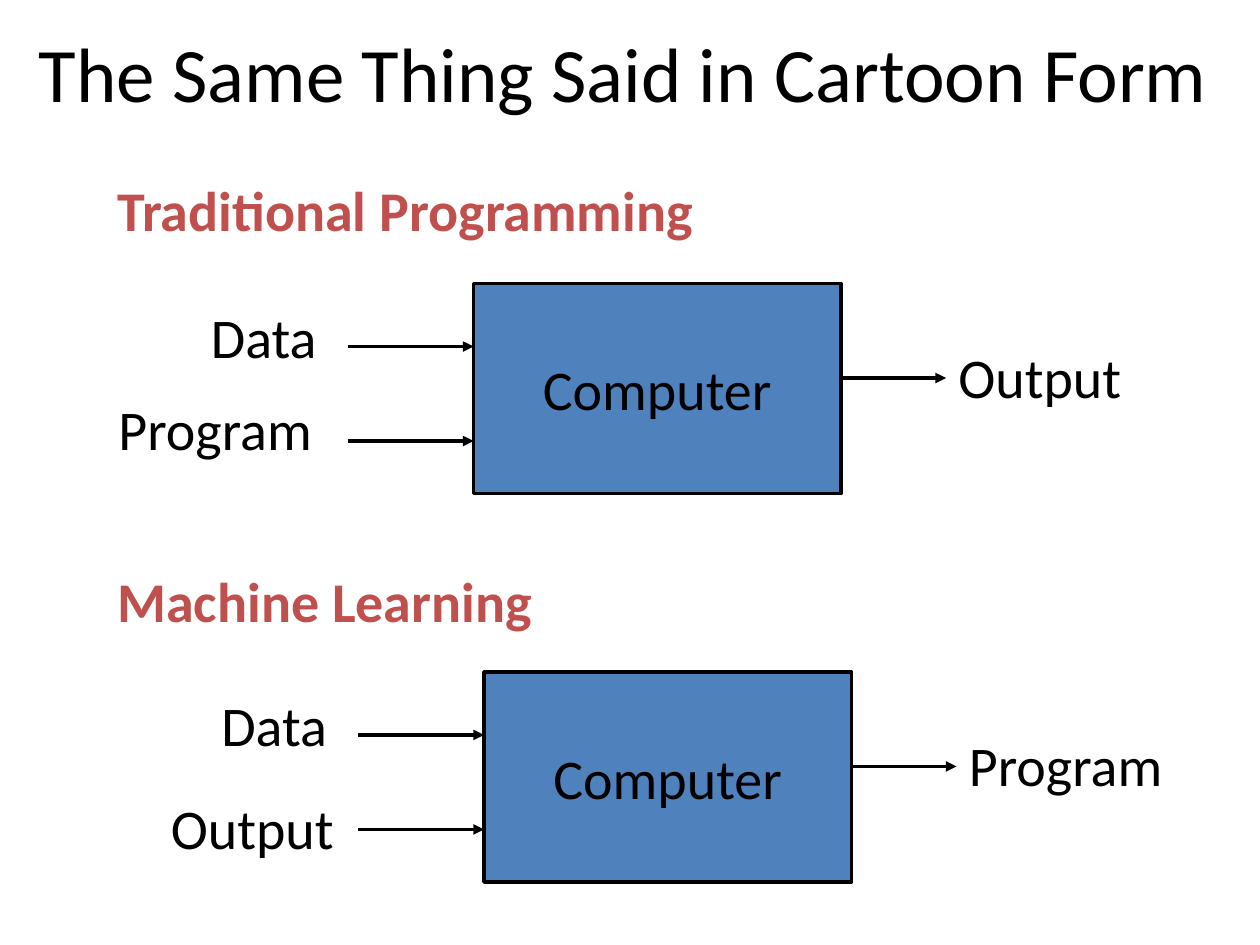
from lxml import etree
from pptx import Presentation, util as u
from pptx.dml.color import RGBColor
from pptx.enum import shapes as sh, text as tx
from pptx.oxml.ns import qn

BLACK = RGBColor(0x00, 0x00, 0x00)
BLUE = RGBColor(0x4F, 0x81, 0xBD)
RED = RGBColor(0xC0, 0x50, 0x4D)
COLS, ROWS = 120, 90
WIDTH, HEIGHT = u.Inches(10), u.Inches(7.5)


def grid(*cells):
    """Turn alternating columns and rows into slide lengths."""
    units = (WIDTH / COLS, HEIGHT / ROWS)
    return [u.Emu(round(cell * units[i % 2])) for i, cell in enumerate(cells)]


def write(shape, words, size=32, color=BLACK, bold=False,
          align=tx.PP_ALIGN.LEFT, anchor=tx.MSO_ANCHOR.TOP):
    """Put formatted words into a shape."""
    frame = shape.text_frame
    frame.word_wrap = True
    frame.auto_size = tx.MSO_AUTO_SIZE.NONE
    frame.vertical_anchor = anchor
    para = frame.paragraphs[0]
    para.alignment = align
    run = para.add_run()
    run.text = words
    font = run.font
    font.name, font.size, font.bold = "Calibri", u.Pt(size), bold
    font.color.rgb = color


def label(slide, words, col, row, wide=23, **form):
    """Add a line of text at a grid cell."""
    write(slide.shapes.add_textbox(*grid(col, row, wide, 7.6)), words, **form)


def arrow(slide, start, end, row):
    """Draw a level arrow between two columns."""
    line = slide.shapes.add_connector(
        sh.MSO_CONNECTOR.STRAIGHT, *grid(start, row, end, row))
    line.line.color.rgb = BLACK
    line.line.width = u.Pt(2)
    etree.SubElement(line.line._get_or_add_ln(), qn("a:tailEnd"), type="triangle")
    etree.SubElement(line._element.spPr, qn("a:effectLst"))


def title(slide, words, box):
    """Place and fill the slide title."""
    head = slide.shapes.title
    head.left, head.top, head.width, head.height = grid(*box)
    write(head, words, size=44, anchor=tx.MSO_ANCHOR.MIDDLE)


def flow(slide, box, inputs, result):
    """Draw a computer in the box with its inputs and its result."""
    col, row, wide, high = box
    right = col + wide
    block = slide.shapes.add_shape(sh.MSO_SHAPE.RECTANGLE, *grid(*box))
    block.shadow.inherit = False
    block.fill.solid()
    block.fill.fore_color.rgb = BLUE
    block.line.color.rgb = BLACK
    block.line.width = u.Pt(2)
    write(block, "Computer", align=tx.PP_ALIGN.CENTER,
          anchor=tx.MSO_ANCHOR.MIDDLE)
    for (words, back, down), share in zip(inputs, (0.3, 0.75)):
        label(slide, words, col - back, row + down)
        arrow(slide, col - 12, col, row + high * share)
    arrow(slide, right, right + 10, row + high * 0.45)
    label(slide, result, right + 10, row + high * 0.25)


def main():
    """Build and save the slide."""
    deck = Presentation()
    deck.slide_width, deck.slide_height = WIDTH, HEIGHT
    slide = deck.slides.add_slide(deck.slide_layouts[5])
    title(slide, "The Same Thing Said in Cartoon Form", (2.5, 1.8, 115, 10))
    data = ("Data", 26.2, 1.2)
    panels = (
        ("Traditional Programming", 16.1, (45.1, 27, 35, 20),
         (data, ("Program", 35, 10)), "Output"),
        ("Machine Learning", 53.4, (46.1, 64, 35, 20),
         (data, ("Output", 31, 11)), "Program"),
    )
    for head, row, box, inputs, result in panels:
        label(slide, head, 10, row, wide=70, color=RED, bold=True)
        flow(slide, box, inputs, result)
    deck.save("out.pptx")


if __name__ == "__main__":
    main()
